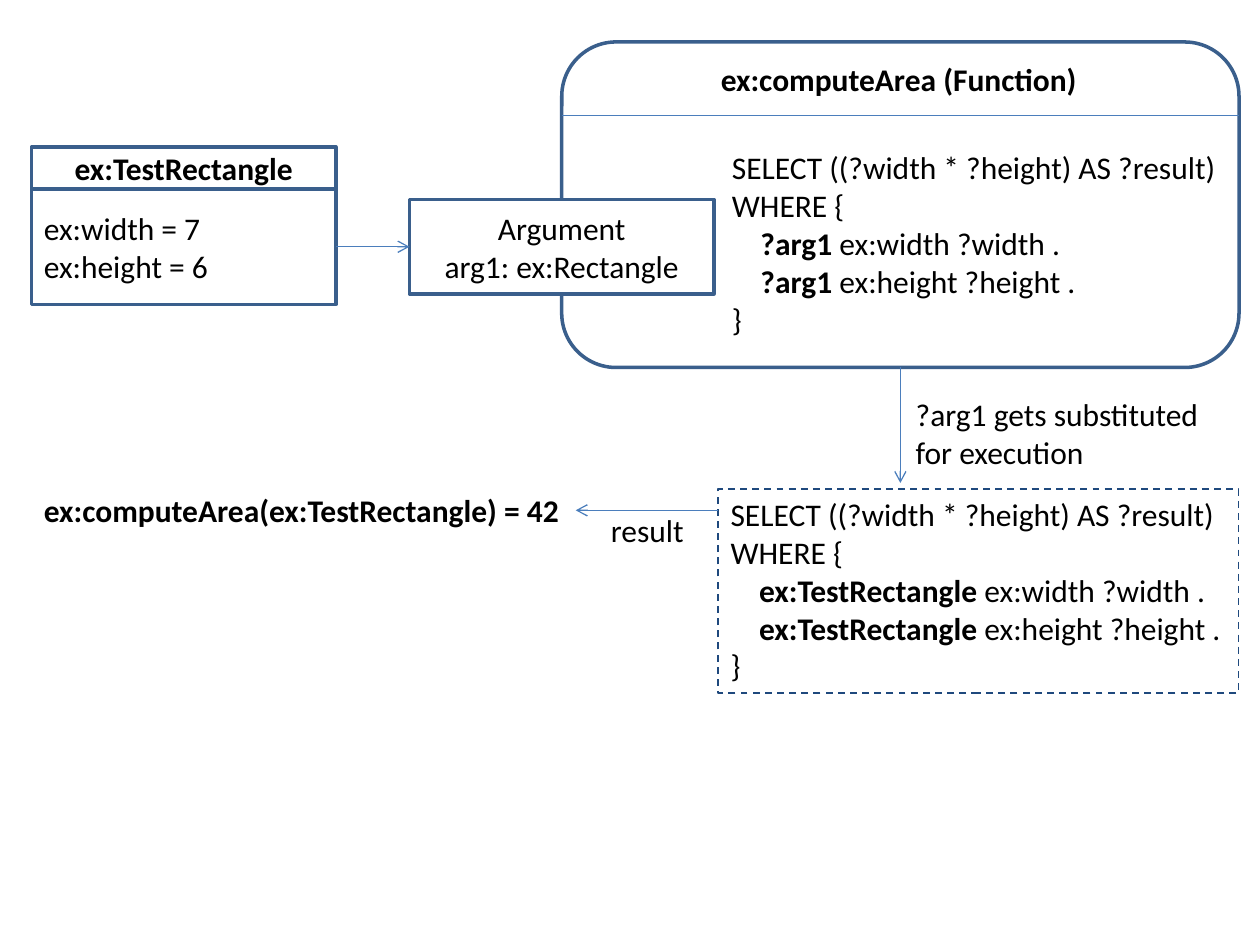
from lxml.etree import SubElement
from pptx import Presentation
from pptx.dml.color import RGBColor
from pptx.enum.dml import MSO_LINE
from pptx.enum.shapes import MSO_CONNECTOR, MSO_SHAPE
from pptx.enum.text import MSO_ANCHOR as ANCHOR, PP_ALIGN as ALIGN
from pptx.oxml.ns import qn
from pptx.util import Pt

BORDER, ARROW, DASHED, BLACK, WHITE = "3A5F8C", "4B7EBC", "1F497D", "000000", "FFFFFF"
CODE_INDENT = 16.3


def paint(color_owner, color):
    """Give a fill or a font a solid colour from a hex string."""
    if hasattr(color_owner, "solid"):
        color_owner.solid()
        color_owner.fore_color.rgb = RGBColor.from_string(color)
    else:
        color_owner.color.rgb = RGBColor.from_string(color)


def add_text(box, lines, bold=False, align=ALIGN.LEFT, anchor=ANCHOR.TOP, wrap=False):
    """Write lines into a shape; a (bold, plain) pair is an indented line."""
    frame = box.text_frame
    frame.word_wrap = wrap
    frame.vertical_anchor = anchor
    for number, line in enumerate(lines):
        paragraph = frame.paragraphs[0] if number == 0 else frame.add_paragraph()
        paragraph.alignment = align
        parts = [(line, bold)]
        if isinstance(line, tuple):
            parts = [(line[0], True), (line[1], False)]
            paragraph._p.get_or_add_pPr().set("marL", str(Pt(CODE_INDENT)))
        for words, is_bold in parts:
            run = paragraph.add_run()
            run.text = words
            run.font.name, run.font.size, run.font.bold = "Calibri", Pt(18), is_bold
            paint(run.font, BLACK)


prs = Presentation()
prs.slide_width, prs.slide_height = Pt(720), Pt(540)
slide = prs.slides.add_slide(prs.slide_layouts[6])
shapes = slide.shapes


def query(subject):
    """Return the lines of the area query about one subject."""
    return ["SELECT ((?width * ?height) AS ?result)", "WHERE {",
            (subject, " ex:width ?width ."), (subject, " ex:height ?height ."), "}"]


# Framed boxes: preset, position, fill, line colour, line width, dash, lines, text format
RECT, ROUND = MSO_SHAPE.RECTANGLE, MSO_SHAPE.ROUNDED_RECTANGLE
middle = dict(anchor=ANCHOR.MIDDLE, wrap=True)
centred = dict(middle, align=ALIGN.CENTER)
framed_boxes = [
    (RECT, (18, 84, 174, 24), None, BORDER, 2, None,
     ["ex:TestRectangle"], dict(centred, bold=True)),
    (RECT, (18, 108, 174, 66), None, BORDER, 2, None,
     ["ex:width = 7", "ex:height = 6"], middle),
    (ROUND, (321, 24, 387, 186), None, BORDER, 2, None, [], {}),
    (RECT, (234, 114, 174, 54), WHITE, BORDER, 2, None,
     ["Argument", "arg1: ex:Rectangle"], centred),
    (RECT, (410.4, 279.4, 297.4, 116.6), None, DASHED, 1, MSO_LINE.DASH,
     query("ex:TestRectangle"), {}),
]
for preset, place, fill, color, weight, dash, lines, text_format in framed_boxes:
    box = shapes.add_shape(preset, *map(Pt, place))
    box.shadow.inherit = False
    if fill:
        paint(box.fill, fill)
    else:
        box.fill.background()
    paint(box.line.fill, color)
    box.line.width = Pt(weight)
    if dash:
        box.line.dash_style = dash
    add_text(box, lines, **text_format)

# Divider of the function box, then the arrows of the flow
connections = [
    ((321, 66), (708, 66), False),
    ((192, 141), (234, 141), True),
    ((514.5, 210), (514.5, 276), True),
    ((410.4, 291.6), (329, 291.6), True),
]
for start, end, has_head in connections:
    link = shapes.add_connector(MSO_CONNECTOR.STRAIGHT, *map(Pt, start + end))
    paint(link.line.fill, ARROW)
    link.line.width = Pt(0.75)
    if has_head:
        SubElement(link.line._get_or_add_ln(), qn("a:tailEnd"), type="arrow")
    SubElement(link._element.spPr, qn("a:effectLst"))

labels = [
    ((404.8, 31, 219.6, 29), ["ex:computeArea (Function)"], True),
    ((411.2, 81.3, 294.4, 116.6), query("?arg1"), False),
    ((516.2, 222, 177.8, 51), ["?arg1 gets substituted", "for execution"], False),
    ((18, 277.2, 311, 29), ["ex:computeArea(ex:TestRectangle) = 42"], True),
    ((342, 288.7, 56.9, 29), ["result"], False),
]
for place, lines, bold in labels:
    add_text(shapes.add_textbox(*map(Pt, place)), lines, bold=bold)

prs.save("out.pptx")
